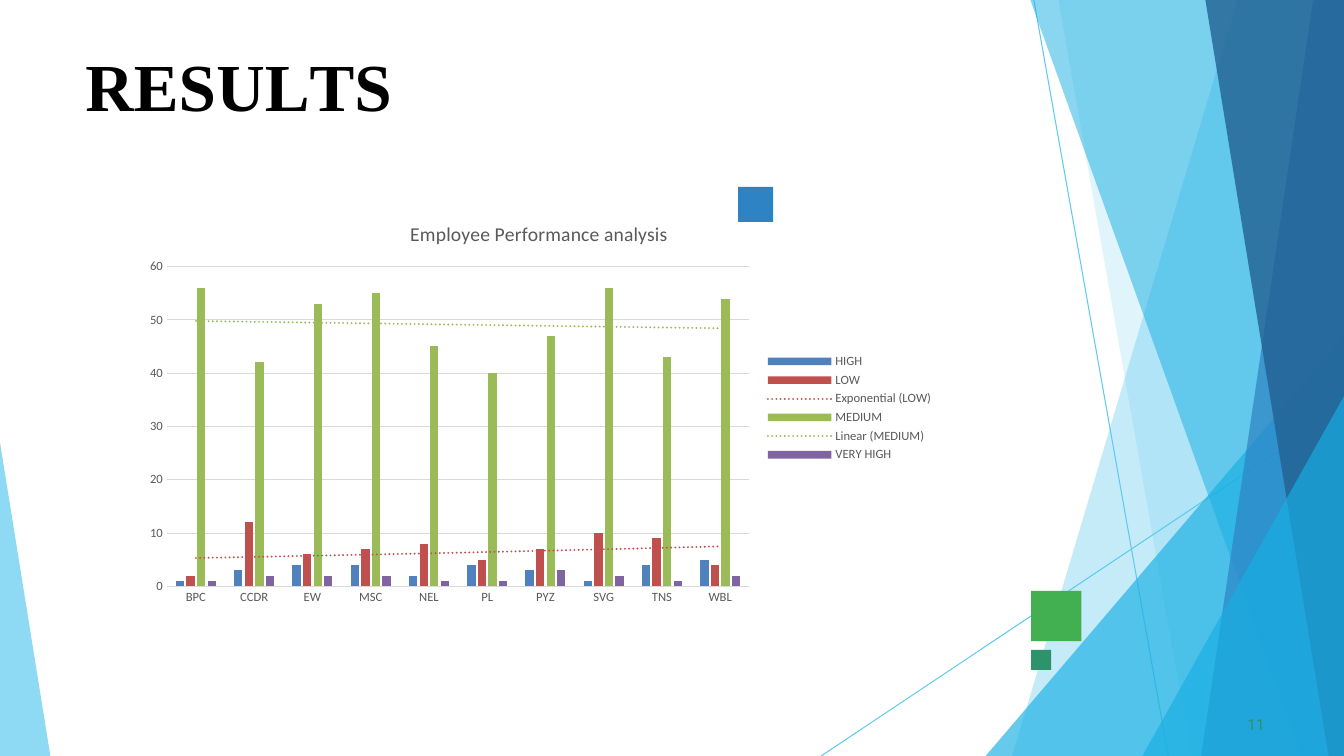
from lxml import etree
from pptx import Presentation
from pptx.chart.data import CategoryChartData
from pptx.dml.color import RGBColor
from pptx.enum.chart import XL_CHART_TYPE as ChartType, XL_LEGEND_POSITION as LegendPosition, XL_TICK_MARK as TickMark
from pptx.enum.shapes import MSO_CONNECTOR as Connector, MSO_SHAPE as Shape
from pptx.oxml import parse_xml
from pptx.oxml.ns import nsdecls, qn
from pptx.util import Pt

COLORS = {
    "sky": "5FCAEE", "cyan": "17AFE3", "blue": "2D83C3", "navy": "226192",
    "green": "42AF51", "teal": "2D936B", "black": "000000",
    "gray": "595959", "grid": "D9D9D9",
    "high": "4F81BD", "low": "C0504D", "medium": "9BBB59", "very high": "8064A2",
}
WIDTH, HEIGHT = 960, 540


def color(name):
    return RGBColor.from_string(COLORS[name])


def add_text(left, top, width, height, indent, before, runs, font, size, tone, bold):
    box = page.shapes.add_textbox(Pt(left), Pt(top), Pt(width), Pt(height))
    frame = box.text_frame
    frame.word_wrap = True
    frame.margin_left = frame.margin_right = frame.margin_bottom = 0
    frame.margin_top = Pt(1)
    para = frame.paragraphs[0]
    para.space_before = Pt(before)
    para._p.get_or_add_pPr().set("marL", str(Pt(indent)))
    for text, spacing in runs:
        span = para.add_run()
        span.text = text
        span.font.name = font
        span.font.size = Pt(size)
        span.font.bold = bold
        span.font.color.rgb = color(tone)
        span._r.get_or_add_rPr().set("spc", str(spacing))


deck = Presentation()
deck.slide_width, deck.slide_height = Pt(WIDTH), Pt(HEIGHT)
page = deck.slides.add_slide(deck.slide_layouts[6])

for start_x, start_y, end_x in [(738.5, 0, 834.5), (WIDTH, 291, 586.5)]:
    line = page.shapes.add_connector(
        Connector.STRAIGHT, Pt(start_x), Pt(start_y), Pt(end_x), Pt(HEIGHT))
    line.line.color.rgb = color("sky")
    line.line.width = Pt(0.75)
    etree.SubElement(line._element.spPr, qn("a:effectLst"))

facets = [
    ("sky", 36, [(WIDTH, 0), (884, 0), (723, HEIGHT), (WIDTH, HEIGHT)]),
    ("sky", 20, [(WIDTH, 0), (756, 0), (851, HEIGHT), (WIDTH, HEIGHT)]),
    ("cyan", 66, [(WIDTH, 240), (703.5, HEIGHT), (WIDTH, HEIGHT)]),
    ("cyan", 50, [(WIDTH, 0), (735.5, 0), (929.5, HEIGHT), (WIDTH, HEIGHT)]),
    ("blue", 70, [(WIDTH, 0), (938.5, 0), (858, HEIGHT), (WIDTH, HEIGHT)]),
    ("navy", 80, [(WIDTH, 0), (861, 0), (949, HEIGHT), (WIDTH, HEIGHT)]),
    ("cyan", 66, [(WIDTH, 283), (816.5, HEIGHT), (WIDTH, HEIGHT)]),
    ("sky", 70, [(0, 316), (0, HEIGHT), (35.5, HEIGHT)]),
]
for tone, opacity, points in facets:
    builder = page.shapes.build_freeform(*points[0], scale=Pt(1))
    builder.add_line_segments(points[1:], close=True)
    facet = builder.convert_to_shape()
    facet.shadow.inherit = False
    facet.line.fill.background()
    facet.fill.solid()
    facet.fill.fore_color.rgb = color(tone)
    tint = facet._element.spPr.find(".//" + qn("a:srgbClr"))
    etree.SubElement(tint, qn("a:alpha"), val=str(opacity * 1000))

squares = [("green", 736.5, 422, 36), ("blue", 527.25, 133.5, 25), ("teal", 736.5, 464.25, 14.25)]
for tone, left, top, side in squares:
    square = page.shapes.add_shape(Shape.RECTANGLE, Pt(left), Pt(top), Pt(side), Pt(side))
    square.shadow.inherit = False
    square.line.fill.background()
    square.fill.solid()
    square.fill.fore_color.rgb = color(tone)

title_runs = [("R", 0), ("E", -40), ("S", 10), ("U", -30), ("L", -400), ("TS", 0)]
add_text(60, 30.5, 222.5, 59, 1, 1.1, title_runs, "Times New Roman", 48, "black", True)
add_text(888, 510, 18, 15, 3, 0.6, [("11", 10)], "Roboto", 11, "teal", False)

results = CategoryChartData()
results.categories = ["BPC", "CCDR", "EW", "MSC", "NEL", "PL", "PYZ", "SVG", "TNS", "WBL"]
results.add_series("HIGH", [1, 3, 4, 4, 2, 4, 3, 1, 4, 5])
results.add_series("LOW", [2, 12, 6, 7, 8, 5, 7, 10, 9, 4])
results.add_series("MEDIUM", [56, 42, 53, 55, 45, 40, 47, 56, 43, 54])
results.add_series("VERY HIGH", [1, 2, 2, 2, 1, 1, 3, 2, 1, 2])
chart = page.shapes.add_chart(
    ChartType.COLUMN_CLUSTERED, Pt(96), Pt(145), Pt(578), Pt(293), results).chart
chart.font.name = "Calibri"
chart.font.size = Pt(10)

chart.has_title = True
span = chart.chart_title.text_frame.paragraphs[0].add_run()
span.text = "Employee Performance analysis"
span.font.name = "Calibri"
span.font.size = Pt(14)
span.font.bold = False
span.font.color.rgb = color("gray")

chart.has_legend = True
chart.legend.position = LegendPosition.RIGHT
chart.legend.include_in_layout = False
for part in (chart.legend.font, chart.category_axis.tick_labels.font, chart.value_axis.tick_labels.font):
    part.name = "Calibri"
    part.size = Pt(9)
    part.color.rgb = color("gray")

for axis in (chart.category_axis, chart.value_axis):
    axis.major_tick_mark = axis.minor_tick_mark = TickMark.NONE
chart.value_axis.minimum_scale = 0
chart.value_axis.maximum_scale = 60
chart.value_axis.major_unit = 10
chart.value_axis.format.line.fill.background()
for rule in (chart.category_axis.format.line, chart.value_axis.major_gridlines.format.line):
    rule.color.rgb = color("grid")
    rule.width = Pt(0.75)

plot = chart.plots[0]
plot.gap_width = 219
plot.overlap = -27
plot.vary_by_categories = False
trends = {"LOW": "exp", "MEDIUM": "linear"}
for series in plot.series:
    tone = series.name.lower()
    series.invert_if_negative = False
    series.format.fill.solid()
    series.format.fill.fore_color.rgb = color(tone)
    if series.name in trends:
        trend = parse_xml(
            f'<c:trendline {nsdecls("c", "a")}><c:spPr><a:ln w="{Pt(1.5)}" cap="rnd">'
            f'<a:solidFill><a:srgbClr val="{COLORS[tone]}"/></a:solidFill>'
            f'<a:prstDash val="sysDot"/></a:ln></c:spPr>'
            f'<c:trendlineType val="{trends[series.name]}"/>'
            f'<c:dispRSqr val="0"/><c:dispEq val="0"/></c:trendline>')
        series._element.find(qn("c:cat")).addprevious(trend)

plot_area = chart._chartSpace.chart.plotArea
for old_layout in plot_area.findall(qn("c:layout")):
    plot_area.remove(old_layout)
layout = parse_xml(
    f'<c:layout {nsdecls("c")}><c:manualLayout><c:layoutTarget val="inner"/>'
    '<c:xMode val="edge"/><c:yMode val="edge"/><c:x val="0.04"/><c:y val="0.155"/>'
    '<c:w val="0.72"/><c:h val="0.78"/></c:manualLayout></c:layout>')
plot_area.insert(0, layout)

deck.save("out.pptx")
